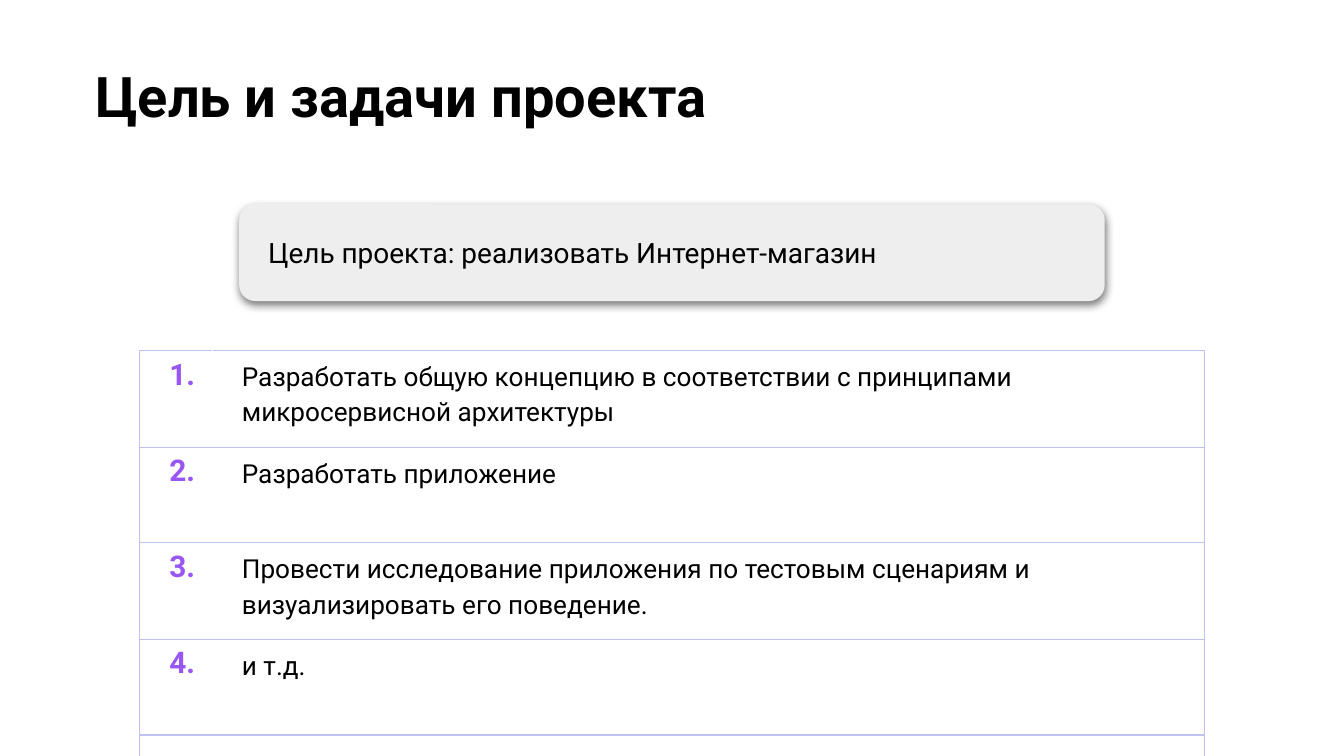
from lxml import etree
from pptx import Presentation, oxml, util as u
from pptx.dml.color import RGBColor
from pptx.enum import shapes, text
from pptx.oxml.ns import qn

BLACK = RGBColor(0x00, 0x00, 0x00)
WHITE = RGBColor(0xFF, 0xFF, 0xFF)
GREY = RGBColor(0xEE, 0xEE, 0xEE)
PURPLE = RGBColor(0x98, 0x57, 0xF3)
LAVENDER = RGBColor(0xBF, 0xC1, 0xF0)
FONT = "Roboto"
A_NAMESPACE = 'xmlns:a="http://schemas.openxmlformats.org/drawingml/2006/main"'


def format_paragraph(paragraph, size, color, bold=False):
    paragraph.alignment = text.PP_ALIGN.LEFT
    paragraph.font.name = FONT
    paragraph.font.size = u.Pt(size)
    paragraph.font.bold = bold
    paragraph.font.color.rgb = color


def set_borders(cell, left, right, top, bottom):
    properties = cell._tc.get_or_add_tcPr()
    sides = zip(("lnL", "lnR", "lnT", "lnB"), (left, right, top, bottom))
    for position, (tag, color) in enumerate(sides):
        line = oxml.parse_xml(
            f'<a:{tag} {A_NAMESPACE} w="{u.Pt(0.75)}"><a:solidFill>'
            f'<a:srgbClr val="{color}"/></a:solidFill></a:{tag}>'
        )
        properties.insert(position, line)


presentation = Presentation()
presentation.slide_width = u.Inches(10)
presentation.slide_height = u.Inches(10) * 9 // 16
slide = presentation.slides.add_slide(presentation.slide_layouts[5])

title = slide.shapes.title
title.left, title.top = u.Inches(0.61), u.Inches(0.36)
title.width, title.height = u.Inches(9.32), u.Inches(1.43)
title_frame = title.text_frame
title_frame.text = "Цель и задачи проекта"
title_frame.auto_size = text.MSO_AUTO_SIZE.NONE
title_frame.vertical_anchor = text.MSO_ANCHOR.TOP
title_frame.margin_left = title_frame.margin_right = u.Inches(0.1)
title_frame.margin_top = title_frame.margin_bottom = u.Inches(0.1)
format_paragraph(title_frame.paragraphs[0], 30, BLACK, True)

tasks = [
    "Разработать общую концепцию в соответствии с принципами микросервисной архитектуры",
    "Разработать приложение",
    "Провести исследование приложения по тестовым сценариям и визуализировать его поведение.",
    "и т.д.",
]
rows = [(f"{number}.", task) for number, task in enumerate(tasks, 1)] + [("", "")]
row_heights = [0.72, 0.71, 0.72, 0.71, 0.38]

table_frame = slide.shapes.add_table(
    len(rows), 2, u.Inches(1.04), u.Inches(2.61), u.Inches(7.92), u.Inches(sum(row_heights))
)
table = table_frame.table
table.first_row = False
table.horz_banding = False
for column, width in zip(table.columns, (0.54, 7.38)):
    column.width = u.Inches(width)

for row, height, (number, task) in zip(table.rows, row_heights, rows):
    row.height = u.Inches(height)
    number_cell, task_cell = row.cells
    for cell, content in ((number_cell, number), (task_cell, task)):
        cell.text = content
        cell.fill.background()
        cell.margin_left, cell.margin_right = u.Inches(0.22), u.Inches(0.1)
        cell.margin_top = cell.margin_bottom = u.Inches(0.05)
    format_paragraph(number_cell.text_frame.paragraphs[0], 16, PURPLE, True)
    task_paragraph = task_cell.text_frame.paragraphs[0]
    format_paragraph(task_paragraph, 14, BLACK)
    task_paragraph.line_spacing = 1.15
    set_borders(number_cell, LAVENDER, WHITE, LAVENDER, LAVENDER)
    set_borders(task_cell, WHITE, LAVENDER, LAVENDER, LAVENDER)

goal = slide.shapes.add_shape(
    shapes.MSO_SHAPE.ROUNDED_RECTANGLE,
    u.Inches(1.78), u.Inches(1.52), u.Inches(6.44), u.Inches(0.72),
)
goal.fill.solid()
goal.fill.fore_color.rgb = GREY
goal.line.fill.background()
goal.shadow.inherit = False
effects = goal._element.spPr.find(qn("a:effectLst"))
shadow = etree.SubElement(
    effects, qn("a:outerShdw"),
    blurRad=str(u.Pt(4.5)), dist=str(u.Pt(1.5)), dir="5400000", algn="bl", rotWithShape="0",
)
shadow_color = etree.SubElement(shadow, qn("a:srgbClr"), val=str(BLACK))
etree.SubElement(shadow_color, qn("a:alpha"), val="50000")

goal_frame = goal.text_frame
goal_frame.text = "Цель проекта: реализовать Интернет-магазин"
goal_frame.word_wrap = True
goal_frame.vertical_anchor = text.MSO_ANCHOR.MIDDLE
goal_frame.margin_left = goal_frame.margin_right = u.Inches(0.18)
goal_frame.margin_top = goal_frame.margin_bottom = u.Inches(0.1)
format_paragraph(goal_frame.paragraphs[0], 15, BLACK)

presentation.save("out.pptx")
